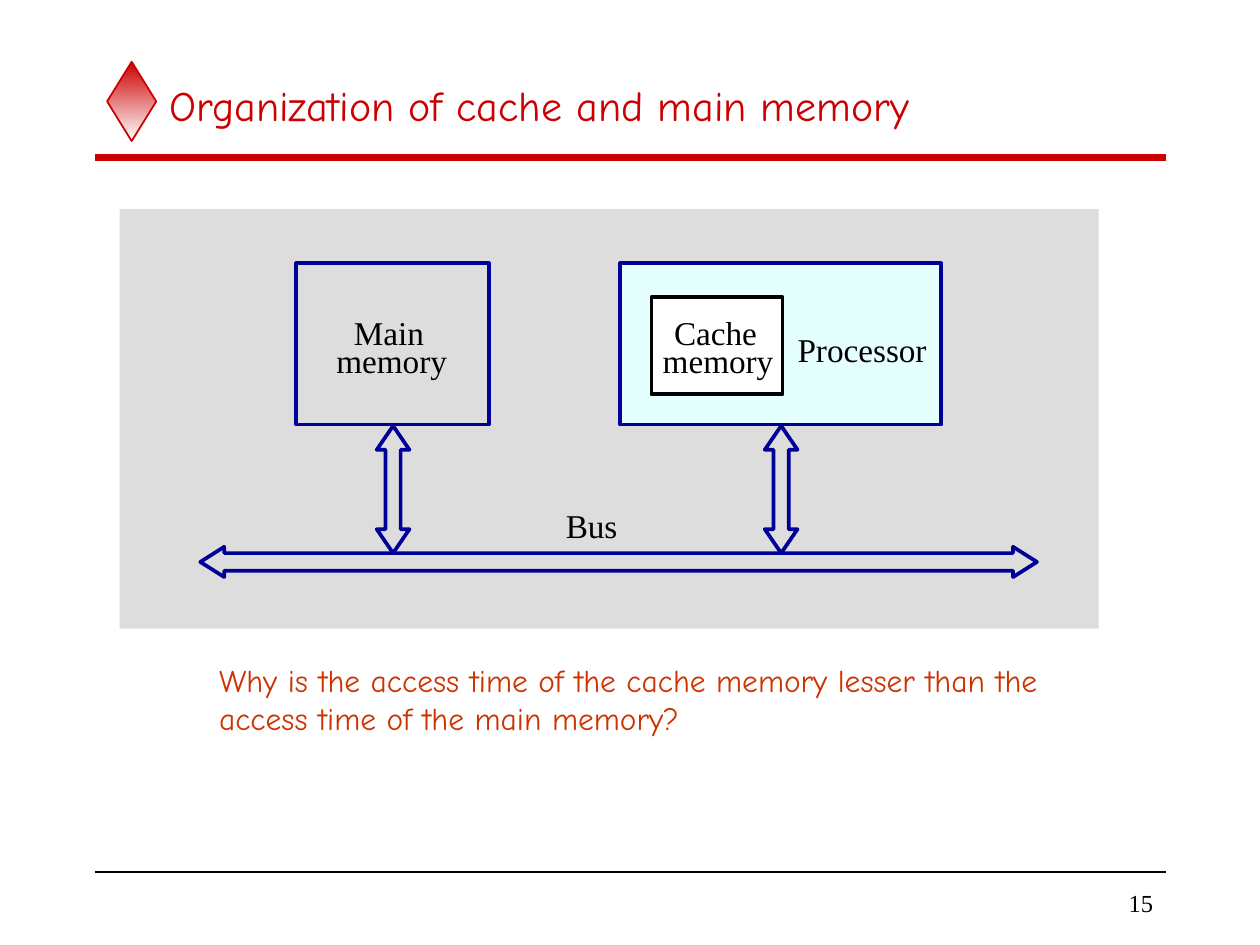
from lxml import etree
from pptx import Presentation
from pptx.dml.color import RGBColor
from pptx.enum import shapes, text
from pptx.oxml.ns import qn
from pptx.util import Inches, Pt

RED = RGBColor(0xCC, 0x00, 0x00)
ORANGE = RGBColor(0xCC, 0x33, 0x00)
NAVY = RGBColor(0x00, 0x00, 0x99)
BLACK = RGBColor(0x00, 0x00, 0x00)
WHITE = RGBColor(0xFF, 0xFF, 0xFF)
GREY = RGBColor(0xDD, 0xDD, 0xDD)
PALE_CYAN = RGBColor(0xE5, 0xFF, 0xFF)

SERIF = "Times New Roman"
HAND = "Comic Neue"
OUTLINE = 2.13

LABELS = [
    ("Main", 2.81, 2.48, 0.56),
    ("memory", 2.67, 2.70, 0.88),
    ("Cache", 5.35, 2.48, 0.66),
    ("memory", 5.26, 2.70, 0.88),
    ("Processor", 6.33, 2.61, 1.05),
    ("Bus", 4.49, 4.01, 0.41),
]


def style_shape(shape, fill=None, line=None, weight=OUTLINE):
    shape.shadow.inherit = False
    if fill is None:
        shape.fill.background()
    else:
        shape.fill.solid()
        shape.fill.fore_color.rgb = fill
    if line is None:
        shape.line.fill.background()
    else:
        shape.line.color.rgb = line
        shape.line.width = Pt(weight)


def add_box(slide, left, top, width, height, fill=None, line=None):
    box = slide.shapes.add_shape(
        shapes.MSO_SHAPE.RECTANGLE,
        Inches(left), Inches(top), Inches(width), Inches(height))
    style_shape(box, fill, line)


def add_diamond(slide):
    diamond = slide.shapes.add_shape(
        shapes.MSO_SHAPE.DIAMOND,
        Inches(0.85), Inches(0.49), Inches(0.39), Inches(0.63))
    style_shape(diamond, line=RED, weight=1)
    diamond.fill.gradient()
    diamond.fill.gradient_angle = 270
    for stop, position, color in zip(
            diamond.fill.gradient_stops, (0, 1), (RED, WHITE)):
        stop.position = position
        stop.color.rgb = color


def add_rule(slide, y, color, weight):
    rule = slide.shapes.add_connector(
        shapes.MSO_CONNECTOR.STRAIGHT,
        Inches(0.75), Inches(y), Inches(9.25), Inches(y))
    rule.line.color.rgb = color
    rule.line.width = Pt(weight)
    etree.SubElement(rule._element.spPr, qn("a:effectLst"))


def add_double_arrow(slide, start, end, center, head, half_head, half_shaft,
                     vertical=False):
    """Outline an arrow from start to end along one axis, centred on the other."""
    near, far = start + head, end - head
    upper = [(start, 0), (near, -half_head), (near, -half_shaft),
             (far, -half_shaft), (far, -half_head), (end, 0)]
    lower = [(along, -across) for along, across in upper[-2:0:-1]]
    points = [(along, center + across) for along, across in upper + lower]
    if vertical:
        points = [(x, y) for y, x in points]
    points = [(Inches(x), Inches(y)) for x, y in points]
    builder = slide.shapes.build_freeform(*points[0])
    builder.add_line_segments(points[1:], close=True)
    style_shape(builder.convert_to_shape(), line=NAVY)


def add_text(slide, content, left, top, width, height, font, size, color,
             wrap=False, grow=False, inset=True,
             anchor=text.MSO_ANCHOR.TOP, align=text.PP_ALIGN.LEFT):
    box = slide.shapes.add_textbox(
        Inches(left), Inches(top), Inches(width), Inches(height))
    frame = box.text_frame
    frame.text = content
    frame.word_wrap = wrap
    frame.vertical_anchor = anchor
    if grow:
        frame.auto_size = text.MSO_AUTO_SIZE.SHAPE_TO_FIT_TEXT
    if not inset:
        frame.margin_left = frame.margin_right = 0
        frame.margin_top = frame.margin_bottom = 0
    for paragraph in frame.paragraphs:
        paragraph.alignment = align
        for run in paragraph.runs:
            run.font.name = font
            run.font.size = Pt(size)
            run.font.color.rgb = color


def add_frame(slide):
    """Add the title, the two rules and the page number."""
    add_diamond(slide)
    add_rule(slide, 1.25, RED, 4)
    add_rule(slide, 6.92, BLACK, 1)
    add_text(slide, "15", 7.83, 7, 1.42, 0.33, SERIF, 14, BLACK,
             anchor=text.MSO_ANCHOR.MIDDLE, align=text.PP_ALIGN.RIGHT)
    add_text(slide, "Organization of cache and main memory",
             1.25, 0.5, 8, 0.67, HAND, 24, RED,
             wrap=True, anchor=text.MSO_ANCHOR.MIDDLE)


def add_diagram(slide):
    add_box(slide, 0.95, 1.66, 7.77, 3.33, fill=GREY)
    add_box(slide, 2.35, 2.09, 1.53, 1.28, line=NAVY)
    add_box(slide, 4.92, 2.09, 2.55, 1.28, fill=PALE_CYAN, line=NAVY)
    add_box(slide, 5.17, 2.36, 1.04, 0.77, fill=WHITE, line=BLACK)
    for center in (3.12, 6.2):
        add_double_arrow(slide, 3.38, 4.39, center, 0.19, 0.13, 0.06,
                         vertical=True)
    add_double_arrow(slide, 1.59, 8.23, 4.46, 0.19, 0.12, 0.07)
    for label, left, top, width in LABELS:
        add_text(slide, label, left, top, width, 0.32, SERIF, 19, BLACK,
                 grow=True, inset=False)


def main():
    presentation = Presentation()
    presentation.slide_width = Inches(10)
    presentation.slide_height = Inches(7.5)
    slide = presentation.slides.add_slide(presentation.slide_layouts[6])
    add_frame(slide)
    add_diagram(slide)
    add_text(slide,
             "Why is the access time of the cache memory lesser than the\n"
             "access time of the main memory?",
             1.64, 5.2, 6.78, 0.7, HAND, 18, ORANGE, grow=True)
    presentation.save("out.pptx")


if __name__ == "__main__":
    main()
